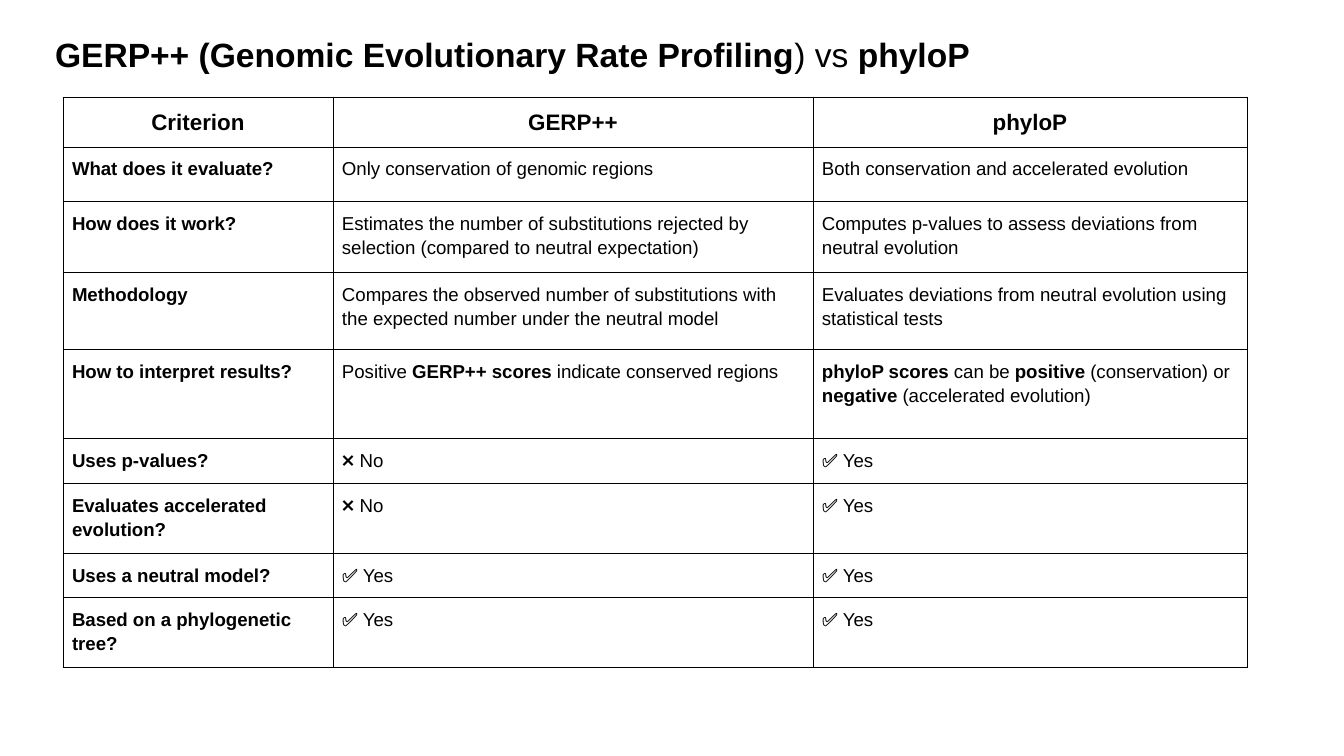
from dataclasses import dataclass

from lxml import etree
from pptx import Presentation
from pptx import util as u
from pptx.dml.color import RGBColor
from pptx.enum import text as t
from pptx.oxml import ns

SCALE = 914400 / 134.4
BLACK = RGBColor(0x00, 0x00, 0x00)
FONT = "Arial"
YES, NO = "✅ Yes", "❌ No"
COLS = (270, 480, 434)


@dataclass(frozen=True)
class Row:
    """One criterion with its answers; ** marks bold text."""
    high: int
    name: str
    gerp: str
    phylo: str


ROWS = (
    Row(50, "Criterion", "**GERP++**", "**phyloP**"),
    Row(55, "What does it evaluate?", "Only conservation of genomic regions",
        "Both conservation and accelerated evolution"),
    Row(71, "How does it work?",
        "Estimates the number of substitutions rejected by selection (compared to neutral expectation)",
        "Computes p-values to assess deviations from neutral evolution"),
    Row(77, "Methodology",
        "Compares the observed number of substitutions with the expected number under the neutral model",
        "Evaluates deviations from neutral evolution using statistical tests"),
    Row(89, "How to interpret results?",
        "Positive **GERP++ scores** indicate conserved regions",
        "**phyloP scores** can be **positive** (conservation) or **negative** (accelerated evolution)"),
    Row(45, "Uses p-values?", NO, YES),
    Row(70, "Evaluates accelerated evolution?", NO, YES),
    Row(44, "Uses a neutral model?", YES, YES),
    Row(70, "Based on a phylogenetic tree?", YES, YES),
)


def px(n: int) -> u.Emu:
    return u.Emu(round(n * SCALE))


def write(frame, words: str, *, size: int = 10, align=t.PP_ALIGN.LEFT, gap: int = 0) -> None:
    """Fill a text frame, with every second part between ** marks in bold."""
    frame.word_wrap = True
    para = frame.paragraphs[0]
    para.alignment = align
    para.line_spacing = 1.15
    para.space_before = para.space_after = u.Pt(gap)
    for i, part in enumerate(words.split("**")):
        if part:
            run = para.add_run()
            run.text = part
            run.font.name = FONT
            run.font.size = u.Pt(size)
            run.font.bold = i % 2 == 1
            run.font.color.rgb = BLACK


def pad(box, inset: int) -> None:
    box.margin_left = box.margin_right = px(inset)
    box.margin_top = box.margin_bottom = px(inset)


def edge(cell) -> None:
    """Draw a thin line on all four sides of a cell."""
    props = cell._tc.get_or_add_tcPr()
    for side in ("lnL", "lnR", "lnT", "lnB"):
        line = etree.SubElement(props, ns.qn(f"a:{side}"), w=str(u.Pt(0.5)))
        fill = etree.SubElement(line, ns.qn("a:solidFill"))
        etree.SubElement(fill, ns.qn("a:srgbClr"), val=str(BLACK))


def title(slide) -> None:
    frame = slide.shapes.add_textbox(px(42), px(15), px(954), px(67)).text_frame
    pad(frame, 13)
    write(frame, "**GERP++ (Genomic Evolutionary Rate Profiling**) vs **phyloP**",
          size=18, gap=12)
    frame.auto_size = t.MSO_AUTO_SIZE.SHAPE_TO_FIT_TEXT


def grid(slide) -> None:
    high = sum(row.high for row in ROWS)
    table = slide.shapes.add_table(len(ROWS), len(COLS), px(63), px(97),
                                   px(sum(COLS)), px(high)).table
    table.first_row = table.horz_banding = False
    for col, wide in zip(table.columns, COLS):
        col.width = px(wide)
    for r, row in enumerate(ROWS):
        table.rows[r].height = px(row.high)
        look = {"size": 12, "align": t.PP_ALIGN.CENTER} if r == 0 else {}
        for c, words in enumerate((f"**{row.name}**", row.gerp, row.phylo)):
            cell = table.cell(r, c)
            pad(cell, 9)
            edge(cell)
            cell.fill.background()
            write(cell.text_frame, words, **look)


def main() -> None:
    deck = Presentation()
    deck.slide_width, deck.slide_height = px(1344), px(756)
    slide = deck.slides.add_slide(deck.slide_layouts[6])
    title(slide)
    grid(slide)
    deck.save("out.pptx")


if __name__ == "__main__":
    main()
